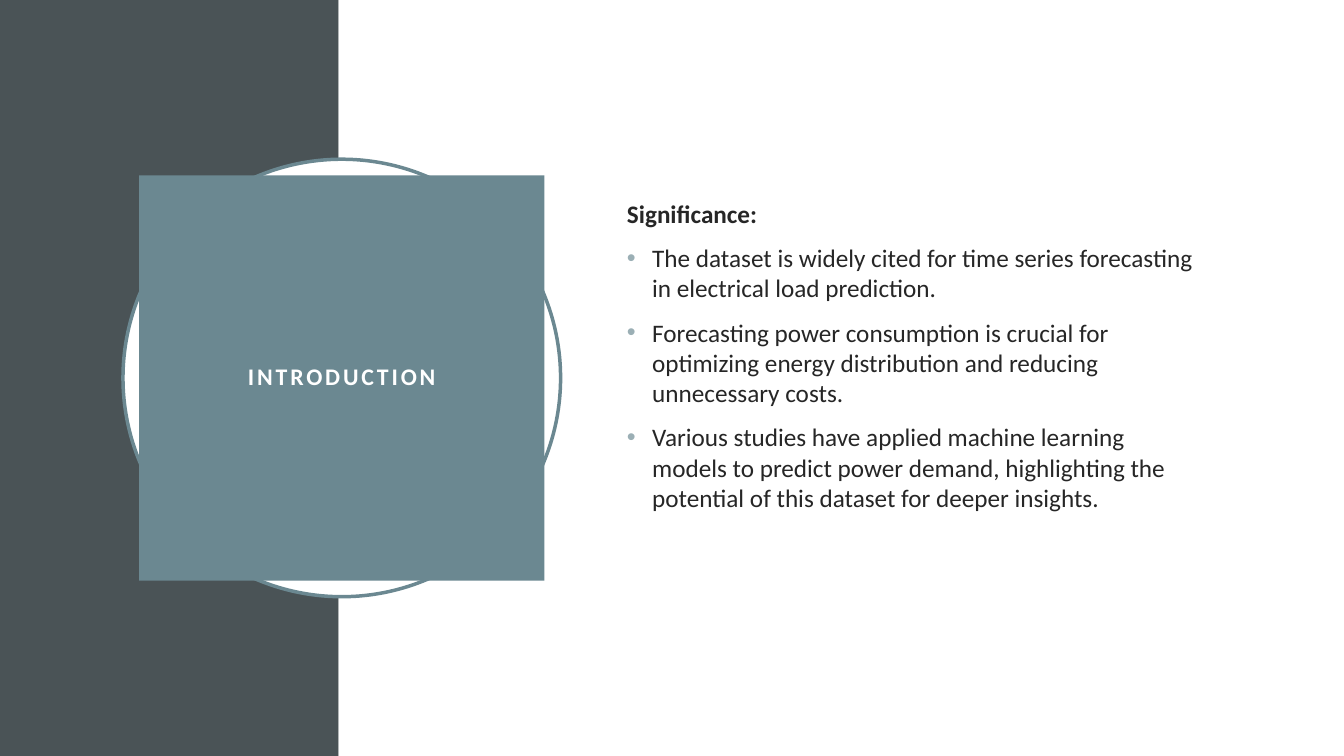
import pptx
import pptx.util
import pptx.dml.color
import pptx.enum.shapes
import pptx.enum.text
import pptx.oxml
from lxml import etree

Inches, Pt = pptx.util.Inches, pptx.util.Pt
SHAPE = pptx.enum.shapes.MSO_SHAPE
ALIGN = pptx.enum.text.PP_ALIGN
ANCHOR = pptx.enum.text.MSO_ANCHOR

SLIDE_W, SLIDE_H = 13.33, 7.5
COLORS = {"band": "4A5356", "accent": "6B8891", "white": "FFFFFF",
          "text": "262626", "bullet": "9BAFB5"}
TITLE_FONT = {"name": "Calibri", "size": Pt(17), "bold": True}
BODY_FONT = {"name": "Calibri", "size": Pt(18), "bold": False}

HEADING = "Significance:"
POINTS = [
    "The dataset is widely cited for time series forecasting in electrical load prediction.",
    "Forecasting power consumption is crucial for optimizing energy distribution "
    "and reducing unnecessary costs.",
    "Various studies have applied machine learning models to predict power demand, "
    "highlighting the potential of this dataset for deeper insights.",
]


def rgb(name):
    return pptx.dml.color.RGBColor.from_string(COLORS[name])


def set_attrs(obj, values):
    for name, value in values.items():
        setattr(obj, name, value)


def add_run(p, text, font, color):
    r = p.add_run()
    r.text = text
    set_attrs(r.font, font)
    r.font.color.rgb = rgb(color)
    return r


def add_block(s, kind, box, fill, line=None):
    sp = s.shapes.add_shape(kind, *map(Inches, box))
    sp.shadow.inherit = False
    sp.fill.solid()
    sp.fill.fore_color.rgb = rgb(fill)
    if line:
        sp.line.color.rgb = rgb(line)
        sp.line.width = Pt(2.5)
    else:
        sp.line.fill.background()
    return sp


def add_bullet(p):
    pPr = p._p.get_or_add_pPr()
    pPr.set("marL", str(Inches(0.25)))
    pPr.set("indent", str(-Inches(0.25)))
    color = etree.SubElement(pPr, pptx.oxml.ns.qn("a:buClr"))
    etree.SubElement(color, pptx.oxml.ns.qn("a:srgbClr"), val=COLORS["bullet"])
    etree.SubElement(pPr, pptx.oxml.ns.qn("a:buFont"), typeface="Arial")
    etree.SubElement(pPr, pptx.oxml.ns.qn("a:buChar"), char="•")


def add_background(s, left, top, width, height, band=3.36):
    add_block(s, SHAPE.RECTANGLE, (left, top, band, height), "band")
    add_block(s, SHAPE.RECTANGLE, (left + band, top, width - band, height), "white")


def add_title(s, left, top, size, inset=0.16):
    # Ring behind the title square
    add_block(s, SHAPE.OVAL, (left, top, size, size), "white", "accent")
    side = size - 2 * inset
    sp = add_block(s, SHAPE.RECTANGLE, (left + inset, top + inset, side, side), "accent")
    tf = sp.text_frame
    margins = dict.fromkeys(
        ["margin_left", "margin_top", "margin_right", "margin_bottom"], Inches(0.2))
    set_attrs(tf, {"word_wrap": True, "vertical_anchor": ANCHOR.MIDDLE, **margins})
    p = tf.paragraphs[0]
    set_attrs(p, {"alignment": ALIGN.CENTER, "line_spacing": 0.9})
    r = add_run(p, "INTRODUCTION", TITLE_FONT, "white")
    r.font._element.set("spc", "200")


def add_body(s, left, top, width, height):
    tf = s.shapes.add_textbox(*map(Inches, (left, top, width, height))).text_frame
    # The deeper bottom margin lifts the centred text
    set_attrs(tf, {"word_wrap": True, "vertical_anchor": ANCHOR.MIDDLE,
                   "margin_bottom": Inches(0.49)})
    for i, text in enumerate([HEADING] + POINTS):
        p = tf.add_paragraph() if i else tf.paragraphs[0]
        p.space_before = Pt(10)
        if i:
            add_bullet(p)
        add_run(p, text, {**BODY_FONT, "bold": i == 0}, "text")


def main():
    prs = pptx.Presentation()
    set_attrs(prs, {"slide_width": Inches(SLIDE_W), "slide_height": Inches(SLIDE_H)})
    s = prs.slides.add_slide(prs.slide_layouts[6])
    add_background(s, 0, 0, SLIDE_W, SLIDE_H)
    add_title(s, 1.22, 1.58, 4.34)
    add_body(s, 6.12, 1.53, 5.82, 4.43)
    prs.save("out.pptx")


if __name__ == "__main__":
    main()
